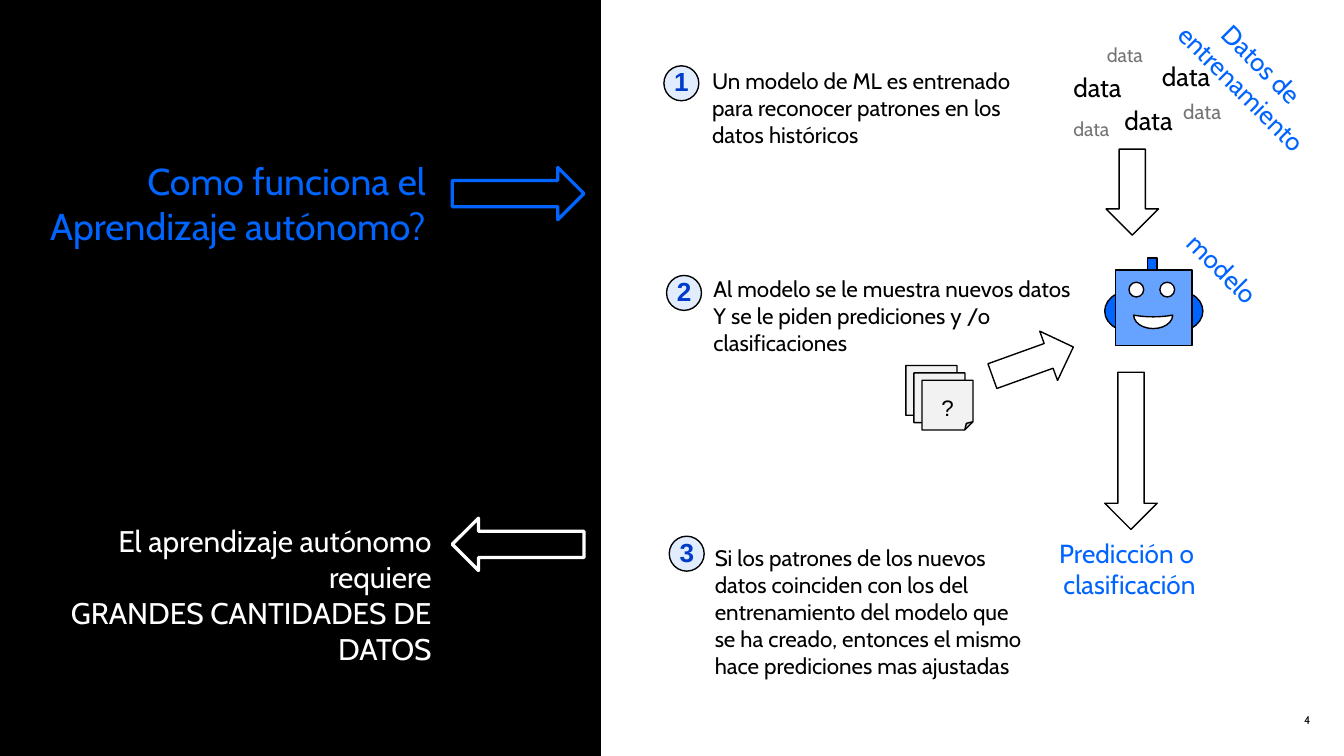
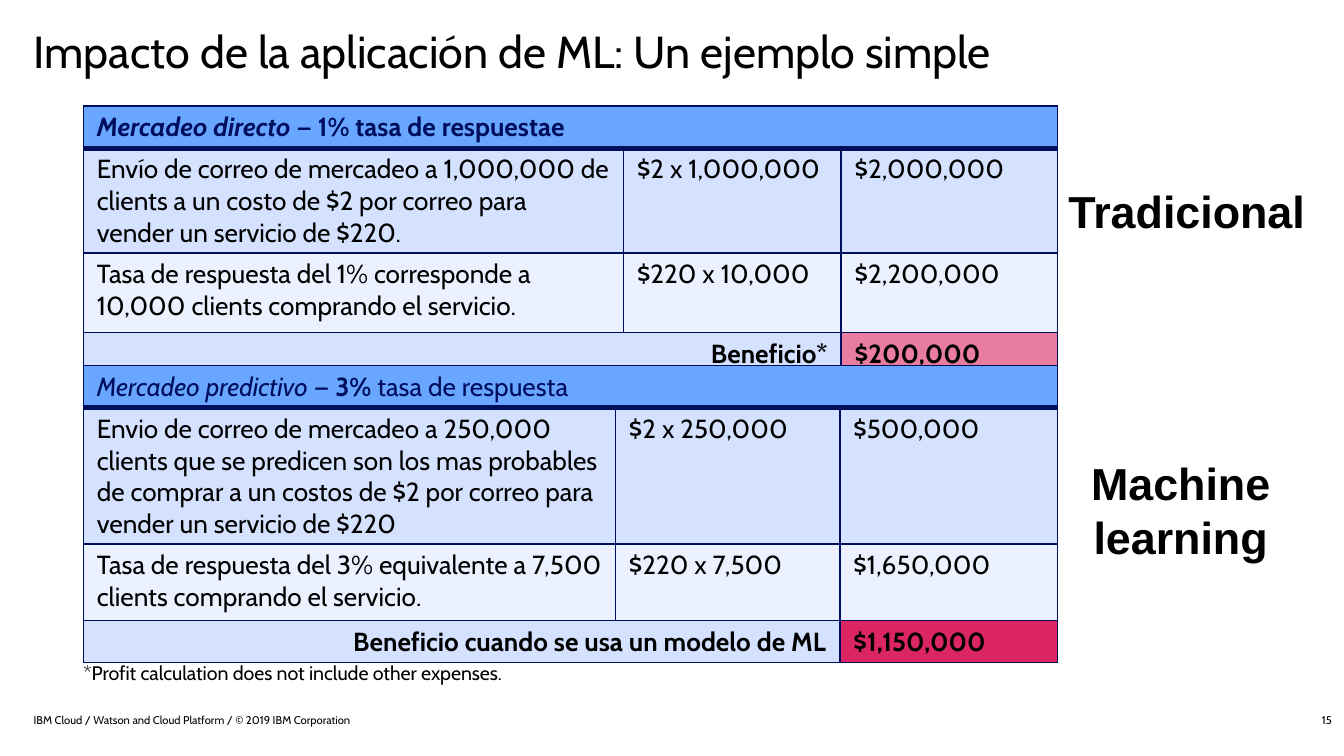
import dataclasses

import lxml.etree
import pptx
import pptx.dml.color
import pptx.enum.shapes
import pptx.enum.text
import pptx.oxml.ns
import pptx.util

RGB = pptx.dml.color.RGBColor
SHAPE = pptx.enum.shapes.MSO_SHAPE
ALIGN = pptx.enum.text.PP_ALIGN
ANCHOR = pptx.enum.text.MSO_ANCHOR

BLACK = RGB(0, 0, 0)
WHITE = RGB(255, 255, 255)
GREY = RGB(0x75, 0x75, 0x75)
PAPER = RGB(0xF2, 0xF2, 0xF2)
BLUE = RGB(0x00, 0x64, 0xFF)
FACE_BLUE = RGB(0x66, 0xA2, 0xFF)
BADGE_FILL = RGB(0xE1, 0xED, 0xFF)
BADGE_BLUE = RGB(0x00, 0x3B, 0xC9)
NAVY = RGB(0x00, 0x0E, 0x5E)
HEAD_BLUE = RGB(0x69, 0xA6, 0xFF)
ROW_DARK = RGB(0xD4, 0xE1, 0xFF)
ROW_LIGHT = RGB(0xEB, 0xF1, 0xFF)
PINK = RGB(0xE9, 0x7D, 0xA1)
CRIMSON = RGB(0xDB, 0x26, 0x63)

# The grid has 100 columns and 56.25 rows, so one unit is a tenth of an inch
COLUMNS, ROWS = 100, 56.25
UNIT = pptx.util.Inches(10) / COLUMNS


def grid(units):
    return pptx.util.Emu(round(units * UNIT))


@dataclasses.dataclass(frozen=True)
class Type:
    size: float
    color: RGB = BLACK
    font: str = "Cabin"
    bold: bool = False
    italic: bool = False


BODY = Type(12)
LABEL = Type(14, BLUE)
DATA = Type(14)
FAINT_DATA = Type(10.5, GREY)
BADGE = Type(14, BADGE_BLUE, "Arial", True)
SIDE = Type(24, BLACK, "Arial", True)
SMALL = Type(6)
CELL = Type(14)
CELL_BOLD = Type(14, bold=True)
HEAD = Type(14, NAVY)
HEAD_BOLD = Type(14, NAVY, bold=True)


class Deck:
    def __init__(self):
        self.file = pptx.Presentation()
        self.file.slide_width = grid(COLUMNS)
        self.file.slide_height = grid(ROWS)

    def new_slide(self):
        self.slide = self.file.slides.add_slide(self.file.slide_layouts[6])
        self.end_group()

    def start_group(self):
        self.shapes = self.slide.shapes.add_group_shape().shapes

    def end_group(self):
        self.shapes = self.slide.shapes

    def set_text(self, frame, paragraphs, style, align, insets=None, anchor=ANCHOR.TOP,
                 after=None, spacing=None):
        """Each paragraph is a string or a list of (text, style) runs."""
        frame.vertical_anchor = anchor
        if insets:
            (frame.margin_left, frame.margin_top,
             frame.margin_right, frame.margin_bottom) = map(grid, insets)
        for i, runs in enumerate(paragraphs):
            paragraph = frame.add_paragraph() if i else frame.paragraphs[0]
            paragraph.alignment = align
            if after:
                paragraph.space_after = pptx.util.Pt(after)
            if spacing:
                paragraph.line_spacing = spacing
            for text, look in [(runs, style)] if isinstance(runs, str) else runs:
                run = paragraph.add_run()
                run.text = text
                run.font.name = look.font
                run.font.size = pptx.util.Pt(look.size)
                run.font.bold = look.bold
                run.font.italic = look.italic
                run.font.color.rgb = look.color

    def text(self, box, paragraphs, style, align=ALIGN.LEFT, wrap=False, grow=True,
             turn=0, **layout):
        area = self.shapes.add_textbox(*map(grid, box))
        area.rotation = turn
        frame = area.text_frame
        self.set_text(frame, paragraphs, style, align, **layout)
        frame.word_wrap = wrap
        if grow:
            frame.auto_size = pptx.enum.text.MSO_AUTO_SIZE.SHAPE_TO_FIT_TEXT

    def shape(self, kind, box, fill=None, line=BLACK, weight=0.75, turn=0, adjust=None):
        figure = self.shapes.add_shape(kind, *map(grid, box))
        figure.shadow.inherit = False
        figure.rotation = turn
        if adjust is not None:
            figure.adjustments[0] = adjust
        if fill is None:
            figure.fill.background()
        else:
            figure.fill.solid()
            figure.fill.fore_color.rgb = fill
        figure.line.color.rgb = line
        figure.line.width = pptx.util.Pt(weight)
        return figure

    def arrow(self, box, turn=0, fill=WHITE, **outline):
        self.shape(SHAPE.DOWN_ARROW, box, fill, turn=turn, **outline)

    def badge(self, number, left, top):
        self.start_group()
        self.shape(SHAPE.OVAL, (left, top, 2.6, 2.6), BADGE_FILL)
        self.text((left - 0.25, top - 0.5, 3.1, 3.4), [number], BADGE, ALIGN.CENTER)
        self.end_group()

    def footer(self, left, text, width=22.5, align=ALIGN.RIGHT):
        self.text((left, 52.8, width, 1.5), [text], SMALL, align, wrap=True, grow=False,
                  insets=(0, 0, 0, 0), anchor=ANCHOR.MIDDLE)

    def border(self, cell, sides):
        properties = cell._tc.get_or_add_tcPr()
        for side, points in sides.items():
            line = lxml.etree.SubElement(properties, pptx.oxml.ns.qn("a:ln" + side),
                                         w=str(pptx.util.Pt(points)))
            paint = lxml.etree.SubElement(line, pptx.oxml.ns.qn("a:solidFill"))
            lxml.etree.SubElement(paint, pptx.oxml.ns.qn("a:srgbClr"), val=str(NAVY))

    def campaign(self, top, widths, heights, head, rows, benefit, total, total_fill):
        """Heading across, cost and income rows, then the benefit."""
        content = [[head, None, None], *rows, [benefit, None, total]]
        table = self.shapes.add_table(len(content), 3, grid(6.2), grid(top),
                                      grid(sum(widths)), grid(sum(heights))).table
        table.first_row = table.horz_banding = False
        for column, width in zip(table.columns, widths):
            column.width = grid(width)
        for row, height in zip(table.rows, heights):
            row.height = grid(height)
        last = len(content) - 1
        table.cell(0, 0).merge(table.cell(0, 2))
        table.cell(last, 0).merge(table.cell(last, 1))
        fills = [HEAD_BLUE, ROW_DARK, ROW_LIGHT, ROW_DARK]
        for r, line in enumerate(content):
            for c, entry in enumerate(line):
                cell = table.cell(r, c)
                self.border(cell, {"L": 1, "R": 1, "T": 1, "B": 1 if r else 3})
                cell.fill.solid()
                cell.fill.fore_color.rgb = total_fill if (r, c) == (last, 2) else fills[r]
                cell.margin_left = cell.margin_right = grid(1)
                cell.margin_top = cell.margin_bottom = grid(0.4)
                if entry:
                    align = ALIGN.RIGHT if (r, c) == (last, 0) else ALIGN.LEFT
                    self.set_text(cell.text_frame, [entry],
                                  CELL_BOLD if r == last else CELL, align)


def how_it_works(deck):
    deck.new_slide()

    # Black panel with the question
    panel = deck.shape(SHAPE.RECTANGLE, (-2.4, 0, 47.1, ROWS), BLACK)
    deck.set_text(panel.text_frame, ["Como funciona el", "Aprendizaje autónomo?"],
                  Type(20, BLUE), ALIGN.RIGHT, insets=(2, 0, 13, 26),
                  anchor=ANCHOR.MIDDLE)

    # Robot
    deck.start_group()
    deck.shape(SHAPE.RECTANGLE, (85.4, 19.2, 0.7, 2.3), BLUE)
    for ear, turn in ((82.2, 0), (87.8, 180)):
        deck.shape(SHAPE.MOON, (ear, 21.7, 1.7, 2.9), BLUE, turn=turn)
    deck.shape(SHAPE.RECTANGLE, (83, 20.1, 5.7, 5.6), FACE_BLUE)
    for eye in (84, 86.3):
        deck.shape(SHAPE.OVAL, (eye, 21, 1.1, 1.1), WHITE)
    deck.shape(SHAPE.MOON, (85.3, 22.5, 1, 2.9), WHITE, turn=270, adjust=0.875)
    deck.end_group()
    deck.text((86.6, 18.3, 8.7, 3.4), ["modelo"], LABEL, ALIGN.CENTER, turn=45)

    # Training data
    for left, top, width, height, style in (
            (86.9, 6.9, 5.1, 2.9, Type(11, GREY)),
            (78.7, 4.8, 5.9, 3.4, DATA),
            (85.3, 4, 5.9, 3.4, DATA),
            (82.5, 7.3, 5.9, 3.4, DATA),
            (78.7, 8.2, 5, 2.8, FAINT_DATA),
            (81.2, 2.7, 5, 2.8, FAINT_DATA)):
        deck.text((left, top, width, height), ["data"], style, ALIGN.CENTER)
    deck.text((85.7, 2.9, 15, 5.7), ["Datos de ", "entrenamiento"], LABEL,
              ALIGN.CENTER, turn=45)

    # Numbered steps
    deck.badge("1", 49.4, 4.9)
    deck.text((52, 4.5, 26, 7.1), ["Un modelo de ML es entrenado",
                                   "para reconocer patrones en los",
                                   "datos históricos"], BODY)
    deck.badge("2", 49.6, 20.5)
    deck.text((52.1, 20, 30.8, 7.1), ["Al modelo se le muestra nuevos datos",
                                      "Y se le piden prediciones y /o",
                                      "clasificaciones"], BODY)
    deck.badge("3", 49.8, 39.9)
    deck.text((52.2, 40, 25.7, 13.1),
              ["Si los patrones de los nuevos datos coinciden con los del entrenamiento "
               "del modelo que se ha creado, entonces el mismo hace prediciones mas "
               "ajustadas"], BODY, wrap=True)

    # Flow from data to prediction
    deck.arrow((82.3, 11.1, 3.9, 6.4))
    deck.arrow((74.9, 23.7, 3.9, 6.4), turn=250.2)
    deck.arrow((82.2, 27.7, 3.9, 11.7))
    deck.text((77.4, 39.5, 13.3, 5.7), ["Predicción o ", "clasificación"], LABEL,
              ALIGN.CENTER)

    # Stack of new data
    for i in range(3):
        sheet = deck.shape(SHAPE.FOLDED_CORNER,
                           (67.4 + 0.6 * i, 27.2 + 0.55 * i, 3.8, 3.7), PAPER)
        deck.set_text(sheet.text_frame, ["?"], Type(12, font="Arial"), ALIGN.CENTER,
                      insets=(0, 1, 0, 0), anchor=ANCHOR.MIDDLE)

    # Arrows and remark on the panel
    for top, turn, color in ((9.5, 270, BLUE), (35.6, 90, WHITE)):
        deck.arrow((36.6, top, 3.9, 9.8), turn, None, line=color, weight=1.75)
    deck.text((4, 38.4, 29.1, 11.8), ["El aprendizaje autónomo requiere",
                                      "GRANDES CANTIDADES DE DATOS"],
              Type(16, WHITE), ALIGN.RIGHT, wrap=True)
    deck.footer(75, "4")


def impact(deck):
    deck.new_slide()
    flush = {"insets": (0, 0, 0, 0), "wrap": True}
    deck.text((2.5, 2.2, 89.1, 4.2), ["Impacto de la aplicación de ML: Un ejemplo simple"],
              Type(24), grow=False, spacing=0.9, **flush)
    deck.footer(76.6, "15")
    deck.footer(2.5, "IBM Cloud / Watson and Cloud Platform / © 2019 IBM Corporation",
                70, ALIGN.LEFT)

    # Campaign tables
    deck.campaign(
        7.9, (40.2, 16.2, 16.1), (3.1, 7.8, 5.9, 3.1),
        [("Mercadeo directo", dataclasses.replace(HEAD_BOLD, italic=True)),
         (" — 1% tasa de respuestae", HEAD_BOLD)],
        [["Envío de correo de mercadeo a 1,000,000 de clients a un costo de $2 por correo "
          "para vender un servicio de $220.", "$2 x 1,000,000", "$2,000,000"],
         ["Tasa de respuesta del 1% corresponde a 10,000 clients comprando el servicio.",
          "$220 x 10,000", "$2,200,000"]],
        "Beneficio*", "$200,000", PINK)
    deck.campaign(
        27.2, (39.6, 16.7, 16.2), (3.1, 7.7, 5.7, 3.1),
        [("Mercadeo predictivo", dataclasses.replace(HEAD, italic=True)),
         (" — ", HEAD), ("3% ", HEAD_BOLD), ("tasa de respuesta", HEAD)],
        [["Envio de correo de mercadeo a 250,000 clients que se predicen son los mas "
          "probables de comprar a un costos de $2 por correo para vender un servicio "
          "de $220", "$2 x 250,000", "$500,000"],
         ["Tasa de respuesta del 3% equivalente a 7,500 clients comprando el servicio.",
          "$220 x 7,500", "$1,650,000"]],
        "Beneficio cuando se usa un modelo de ML", "$1,150,000", CRIMSON)

    # Side labels and note
    deck.text((79.5, 13.7, 18.6, 4), ["Tradicional"], SIDE, after=6, **flush)
    deck.text((79.5, 33.9, 16.7, 8.1), ["Machine learning"], SIDE, ALIGN.CENTER,
              after=6, **flush)
    deck.text((6.2, 49.2, 41.7, 1.8),
              ["*Profit calculation does not include other expenses."], Type(10.5),
              after=6, **flush)


def main():
    deck = Deck()
    how_it_works(deck)
    impact(deck)
    deck.file.save("out.pptx")


if __name__ == "__main__":
    main()
